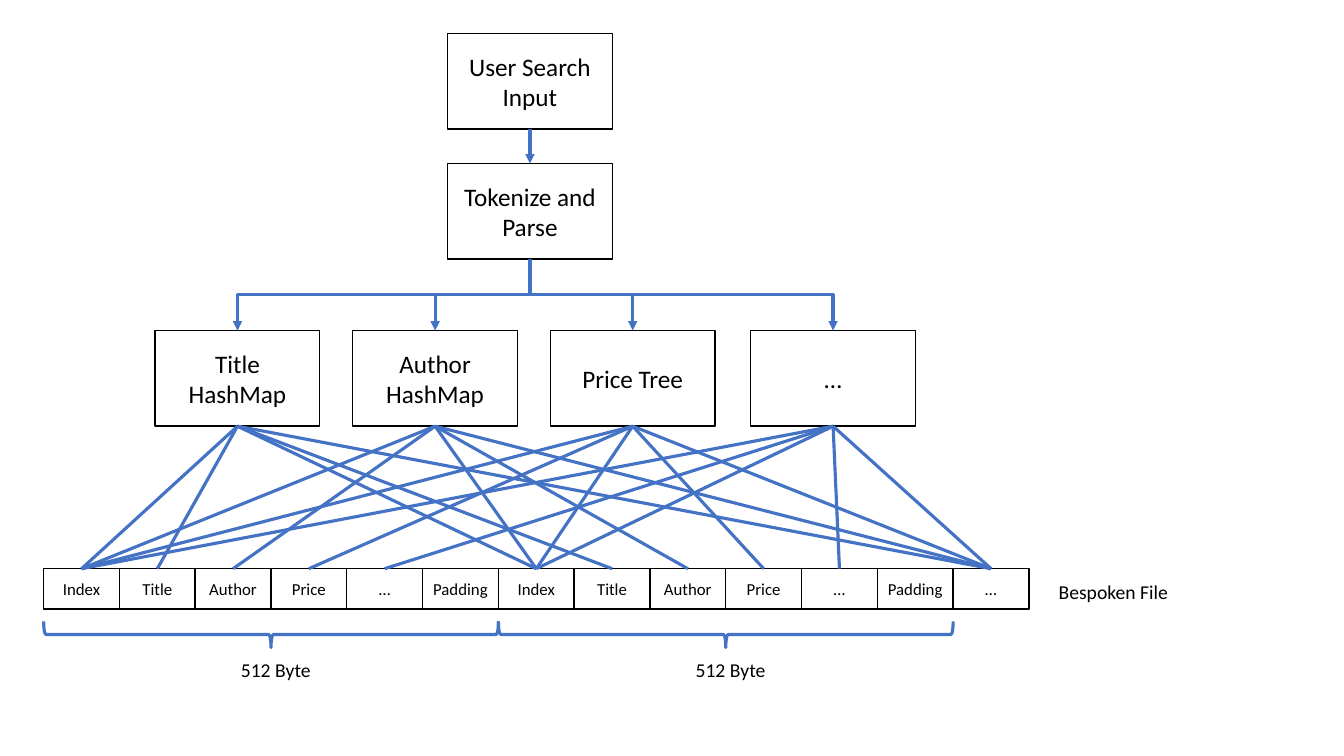
from lxml import etree
from pptx import Presentation
from pptx.dml.color import RGBColor
from pptx.enum.shapes import MSO_CONNECTOR, MSO_SHAPE
from pptx.enum.text import MSO_ANCHOR, MSO_AUTO_SIZE, PP_ALIGN
from pptx.oxml.ns import qn
from pptx.util import Cm, Pt

RECT = MSO_SHAPE.RECTANGLE
BRACE = MSO_SHAPE.RIGHT_BRACE
STRAIGHT = MSO_CONNECTOR.STRAIGHT
ELBOW = MSO_CONNECTOR.ELBOW
MIDDLE = MSO_ANCHOR.MIDDLE
CENTER = PP_ALIGN.CENTER
FIT_SHAPE = MSO_AUTO_SIZE.SHAPE_TO_FIT_TEXT

BLACK = RGBColor(0x00, 0x00, 0x00)
WHITE = RGBColor(0xFF, 0xFF, 0xFF)
BLUE = RGBColor(0x44, 0x72, 0xC4)
FONT = "Calibri"

NODE_W, NODE_H = 4.15, 2.41
INDEXES = [
    ("Title HashMap", 3.91),
    ("Author HashMap", 8.89),
    ("Price Tree", 13.87),
    ("…", 18.92),
]
RECORD = ["Index", "Title", "Author", "Price", "…", "Padding"]
FIELDS = RECORD * 2 + ["…"]


def write(tf, text, size):
    tf.text = text
    font = tf.paragraphs[0].runs[0].font
    font.name, font.size = FONT, Pt(size)
    font.color.rgb = BLACK


def add_box(slide, text, x, y, w, h, size, margin=0.25):
    sp = slide.shapes.add_shape(RECT, Cm(x), Cm(y), Cm(w), Cm(h))
    sp.shadow.inherit = False
    sp.fill.solid()
    sp.fill.fore_color.rgb = WHITE
    sp.line.color.rgb = BLACK
    sp.line.width = Pt(1)
    tf = sp.text_frame
    tf.word_wrap = True
    tf.margin_left = tf.margin_right = Cm(margin)
    tf.vertical_anchor = MIDDLE
    write(tf, text, size)
    tf.paragraphs[0].alignment = CENTER


def add_label(slide, text, x, y, w):
    sp = slide.shapes.add_textbox(Cm(x), Cm(y), Cm(w), Cm(0.86))
    tf = sp.text_frame
    tf.word_wrap = False
    tf.auto_size = FIT_SHAPE
    write(tf, text, 14)


def add_line(slide, x1, y1, x2, y2, kind=STRAIGHT, arrow=False):
    cn = slide.shapes.add_connector(kind, Cm(x1), Cm(y1), Cm(x2), Cm(y2))
    cn.line.color.rgb = BLUE
    cn.line.width = Pt(2.25)
    if arrow:
        etree.SubElement(cn.line._get_or_add_ln(), qn("a:tailEnd"), type="triangle")
    etree.SubElement(cn._element.spPr, qn("a:effectLst"))
    return cn


def add_branch(slide, x1, y1, x2, y2):
    side = 1 if x2 > x1 else -1
    mid_x, mid_y = (x1 + x2) / 2, (y1 + y2) / 2
    half_w, half_h = side * (y2 - y1) / 2, abs(x2 - x1) / 2
    cn = add_line(slide, mid_x + half_w, mid_y - half_h,
                  mid_x - half_w, mid_y + half_h, ELBOW, True)
    degrees = 270 if side > 0 else 90
    cn._element.spPr.find(qn("a:xfrm")).set("rot", str(degrees * 60000))


def add_query_steps(slide, x, y, gap):
    center = x + NODE_W / 2
    parse_y = y + NODE_H + gap
    add_box(slide, "User Search Input", x, y, NODE_W, NODE_H, 18)
    add_box(slide, "Tokenize and Parse", x, parse_y, NODE_W, NODE_H, 18)
    add_line(slide, center, y + NODE_H, center, parse_y, arrow=True)
    return center, parse_y + NODE_H


def add_index_row(slide, y, source):
    centers = []
    for text, x in INDEXES:
        add_box(slide, text, x, y, NODE_W, NODE_H, 18)
        centers.append(x + NODE_W / 2)
        add_branch(slide, *source, centers[-1], y)
    return centers


def add_file_row(slide, x, y, w, h):
    for i, field in enumerate(FIELDS):
        add_box(slide, field, x + i * w, y, w, h, 12, 0)
    add_label(slide, "Bespoken File", x + len(FIELDS) * w + 0.5, y + 0.17, 3.3)
    span = len(RECORD) * w
    for start in (x, x + span):
        add_record_size(slide, start, y + h + 0.31, span, 0.66)
    return [x + (i + 0.5) * w for i in range(len(FIELDS))]


def add_record_size(slide, x, y, w, h):
    center = x + w / 2
    sp = slide.shapes.add_shape(BRACE, Cm(center - h / 2), Cm(y + h / 2 - w / 2), Cm(h), Cm(w))
    sp.rotation = 90
    sp.shadow.inherit = False
    sp.fill.background()
    sp.line.color.rgb = BLUE
    sp.line.width = Pt(2.25)
    add_label(slide, "512 Byte", center - 1.01, y + h + 0.14, 2.29)


def add_lookups(slide, index_centers, y1, field_centers, y2):
    record = len(RECORD)
    for i, x in enumerate(index_centers, 1):
        for field in (0, i, record, record + i, 2 * record):
            add_line(slide, x, y1, field_centers[field], y2)


def main():
    prs = Presentation()
    prs.slide_width, prs.slide_height = Cm(33.87), Cm(19.05)
    slide = prs.slides.add_slide(prs.slide_layouts[6])
    index_y, file_y = 8.33, 14.33
    field_centers = add_file_row(slide, 1.1, file_y, 1.91, 1.02)
    source = add_query_steps(slide, 11.28, 0.84, 0.87)
    index_centers = add_index_row(slide, index_y, source)
    add_lookups(slide, index_centers, index_y + NODE_H, field_centers, file_y)
    prs.save("out.pptx")


if __name__ == "__main__":
    main()
